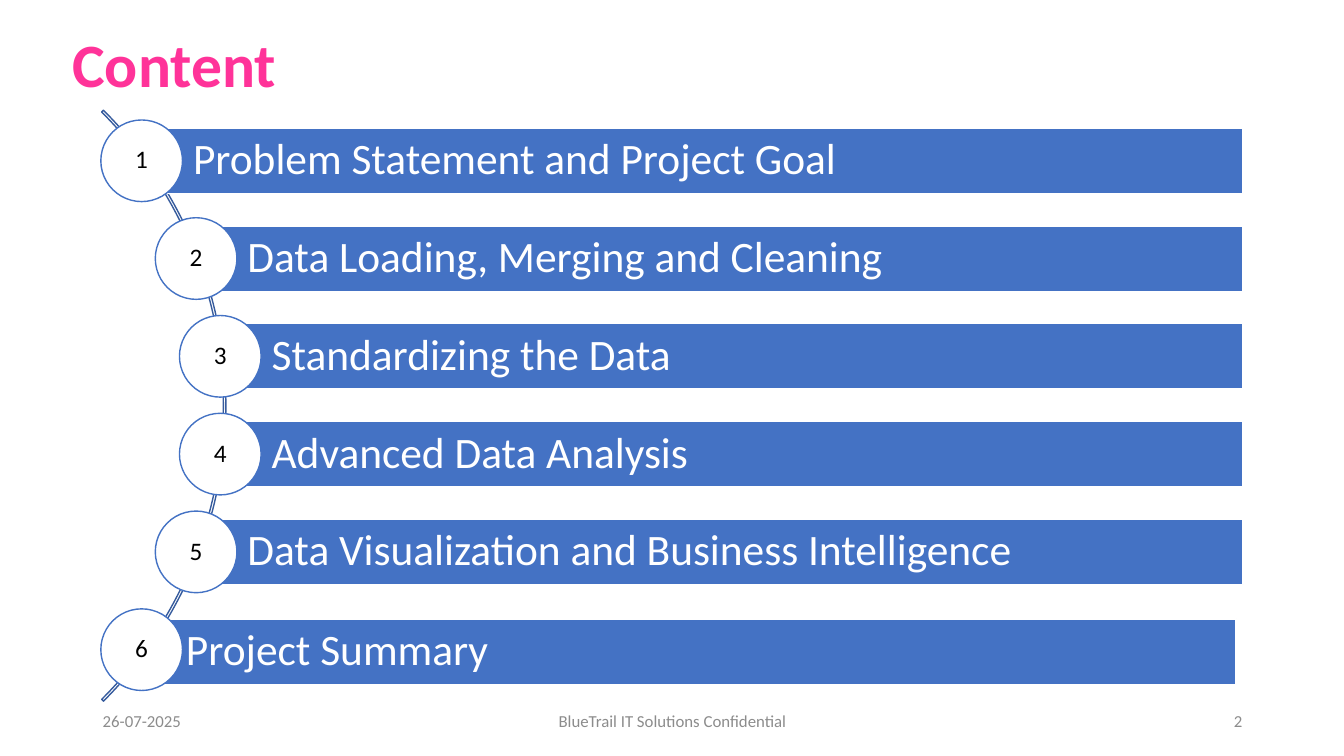
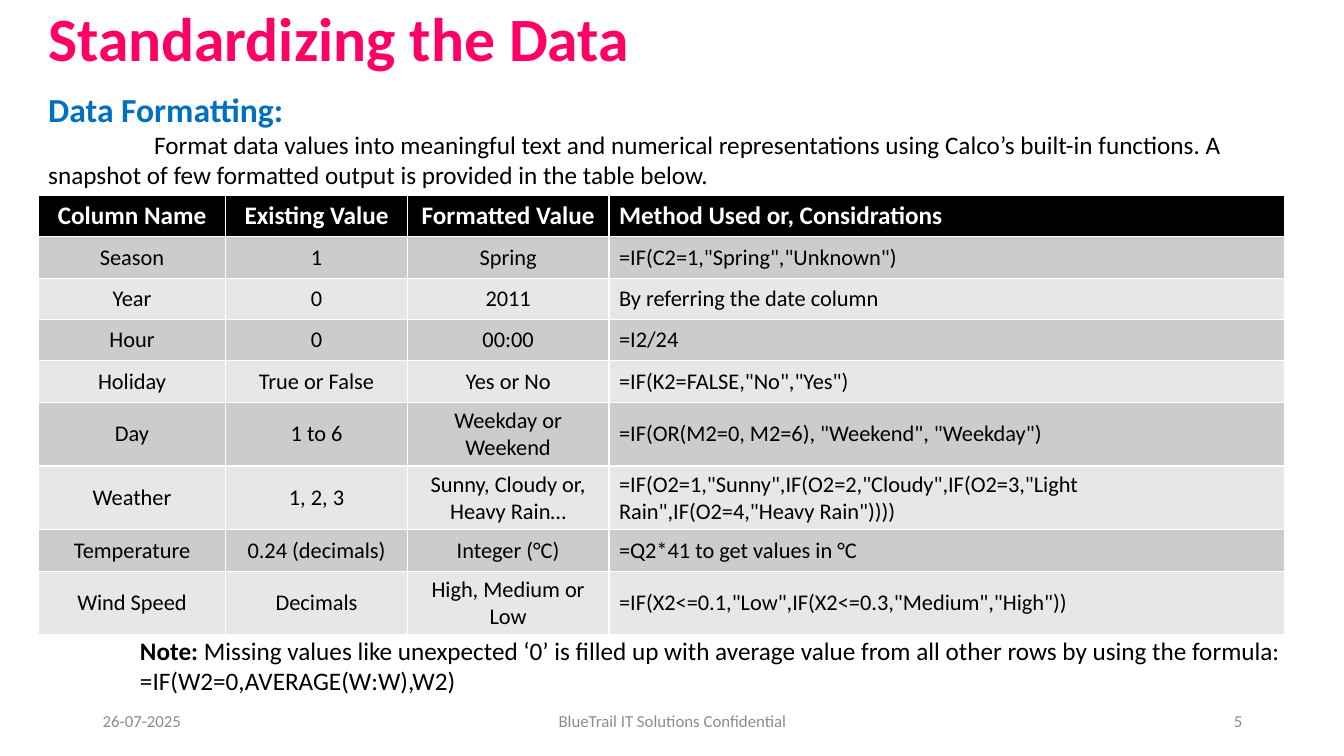
from pptx import Presentation
from pptx.dml.color import RGBColor
from pptx.enum.shapes import MSO_SHAPE
from pptx.enum.text import MSO_ANCHOR, PP_ALIGN
from pptx.util import Inches, Pt

# Shared style
FONT = "Calibri"
WHITE = RGBColor(0xFF, 0xFF, 0xFF)
BLACK = RGBColor(0x00, 0x00, 0x00)
BLUE = RGBColor(0x44, 0x72, 0xC4)
ARC_BLUE = RGBColor(0x36, 0x5B, 0x9D)
HEADING_BLUE = RGBColor(0x00, 0x70, 0xC0)
PINK = RGBColor(0xFF, 0x33, 0x99)
ROSE = RGBColor(0xFF, 0x00, 0x66)
FOOTER_GREY = RGBColor(0x8C, 0x8C, 0x8C)
ROW_FILLS = (RGBColor(0xCC, 0xCC, 0xCC), RGBColor(0xE7, 0xE7, 0xE7))

DATE = "26-07-2025"
FOOTER = "BlueTrail IT Solutions Confidential"

# Agenda: left edge of each number circle, topic, shift of its bar
AGENDA = [
    (1.00, "Problem Statement and Project Goal", (0, 0)),
    (1.54, "Data Loading, Merging and Cleaning", (0, 0)),
    (1.78, "Standardizing the Data", (0, 0)),
    (1.78, "Advanced Data Analysis", (0, 0)),
    (1.54, "Data Visualization and Business Intelligence", (0, 0)),
    (1.00, "Project Summary", (-0.07, 0.02)),
]
AGENDA_TOP, AGENDA_PITCH, AGENDA_RIGHT = 1.19, 0.97, 12.33
CIRCLE_SIZE, BAR_HEIGHT = 0.81, 0.65

COLUMN_WIDTHS = (1.86, 1.8, 2, 6.7)
ROW_HEIGHT = 0.41
FORMATS = [
    ("Column Name", "Existing Value", "Formatted Value", "Method Used or, Considrations"),
    ("Season", "1", "Spring", '=IF(C2=1,"Spring","Unknown")'),
    ("Year", "0", "2011", "By referring the date column"),
    ("Hour", "0", "00:00", "=I2/24"),
    ("Holiday", "True or False", "Yes or No", '=IF(K2=FALSE,"No","Yes")'),
    ("Day", "1 to 6", "Weekday or Weekend", '=IF(OR(M2=0, M2=6), "Weekend", "Weekday")'),
    ("Weather", "1, 2, 3", "Sunny, Cloudy or, Heavy Rain…",
     '=IF(O2=1,"Sunny",IF(O2=2,"Cloudy",IF(O2=3,"Light Rain",IF(O2=4,"Heavy Rain"))))'),
    ("Temperature", "0.24 (decimals)", "Integer (°C)", "=Q2*41 to get values in °C"),
    ("Wind Speed", "Decimals", "High, Medium or Low",
     '=IF(X2<=0.1,"Low",IF(X2<=0.3,"Medium","High"))'),
]


def style(paragraph, size, color, bold=False, align=PP_ALIGN.LEFT):
    paragraph.alignment = align
    font = paragraph.font
    font.name, font.size, font.bold = FONT, Pt(size), bold
    font.color.rgb = color


def add_text(slide, box, text, size, color, bold=False,
             align=PP_ALIGN.LEFT, anchor=MSO_ANCHOR.TOP):
    frame = slide.shapes.add_textbox(*map(Inches, box)).text_frame
    frame.word_wrap = True
    frame.vertical_anchor = anchor
    paragraph = frame.paragraphs[0]
    paragraph.text = text
    style(paragraph, size, color, bold, align)
    return frame


def add_outlined(slide, kind, box, line, fill=None):
    shape = slide.shapes.add_shape(kind, *map(Inches, box))
    shape.shadow.inherit = False
    if fill is None:
        shape.fill.background()
    else:
        shape.fill.solid()
        shape.fill.fore_color.rgb = fill
    shape.line.color.rgb = line
    shape.line.width = Pt(1)
    return shape


def add_label(shape, text, size, color, align, left_inset=0):
    frame = shape.text_frame
    frame.margin_left, frame.margin_right = Inches(left_inset), 0
    frame.vertical_anchor = MSO_ANCHOR.MIDDLE
    paragraph = frame.paragraphs[0]
    paragraph.text = text
    paragraph.line_spacing = 0.9
    style(paragraph, size, color, align=align)


def add_page(prs, title, title_box, title_color, number):
    slide = prs.slides.add_slide(prs.slide_layouts[6])
    heading = add_text(slide, title_box, title, 44, title_color, True,
                       anchor=MSO_ANCHOR.MIDDLE)
    heading.paragraphs[0].line_spacing = 0.9
    # Footer
    for left, width, text, align in (
        (0.92, 3, DATE, PP_ALIGN.LEFT),
        (4.42, 4.5, FOOTER, PP_ALIGN.CENTER),
        (9.42, 3, str(number), PP_ALIGN.RIGHT),
    ):
        add_text(slide, (left, 6.95, width, 0.4), text, 12, FOOTER_GREY,
                 align=align, anchor=MSO_ANCHOR.MIDDLE)
    return slide


def add_agenda(slide):
    # Curved spine behind the numbers
    spine = add_outlined(slide, MSO_SHAPE.BLOCK_ARC, (-6.05, -0.12, 8.29, 8.29), ARC_BLUE)
    for index, value in enumerate((189, 27, 0.003)):
        spine.adjustments[index] = value

    for index, (left, topic, (dx, dy)) in enumerate(AGENDA):
        top = AGENDA_TOP + index * AGENDA_PITCH
        bar_left = left + CIRCLE_SIZE / 2
        bar_top = top + (CIRCLE_SIZE - BAR_HEIGHT) / 2
        bar = add_outlined(
            slide, MSO_SHAPE.RECTANGLE,
            (bar_left + dx, bar_top + dy, AGENDA_RIGHT - bar_left, BAR_HEIGHT), WHITE, BLUE)
        add_label(bar, topic, 31, WHITE, PP_ALIGN.LEFT, 0.51)
        circle = add_outlined(slide, MSO_SHAPE.OVAL,
                              (left, top, CIRCLE_SIZE, CIRCLE_SIZE), BLUE, WHITE)
        add_label(circle, str(index + 1), 18, BLACK, PP_ALIGN.CENTER)


def add_format_table(slide):
    table = slide.shapes.add_table(
        len(FORMATS), len(COLUMN_WIDTHS), Inches(0.38), Inches(1.94),
        Inches(sum(COLUMN_WIDTHS)), Inches(ROW_HEIGHT * len(FORMATS))).table
    for column, width in zip(table.columns, COLUMN_WIDTHS):
        column.width = Inches(width)
    for r, row in enumerate(FORMATS):
        table.rows[r].height = Inches(ROW_HEIGHT)
        header = r == 0
        for c, text in enumerate(row):
            cell = table.cell(r, c)
            cell.text = text
            cell.fill.solid()
            cell.fill.fore_color.rgb = BLACK if header else ROW_FILLS[(r - 1) % 2]
            cell.vertical_anchor = MSO_ANCHOR.TOP if header else MSO_ANCHOR.MIDDLE
            align = PP_ALIGN.LEFT if c == len(row) - 1 else PP_ALIGN.CENTER
            style(cell.text_frame.paragraphs[0], 18 if header else 16,
                  WHITE if header else BLACK, header, align)


def add_formatting_intro(slide):
    intro = add_text(slide, (0.38, 0.83, 12.34, 1.11), "Data Formatting:",
                     24, HEADING_BLUE, True)
    body = intro.add_paragraph()
    body.text = ("Format data values into meaningful text and numerical representations "
                 "using Calco’s built-in functions. A snapshot of few formatted output "
                 "is provided in the table below.")
    body._p.get_or_add_pPr().set("indent", str(Inches(1.05)))
    style(body, 18, BLACK)


def add_note(slide):
    note = add_text(slide, (1.29, 6.25, 11.67, 0.71), "", 18, BLACK).paragraphs[0]
    lead = note.add_run()
    lead.text = "Note: "
    lead.font.bold = True
    note.add_run().text = ("Missing values like unexpected ‘0’ is filled up with average value "
                           "from all other rows by using the formula: "
                           "=IF(W2=0,AVERAGE(W:W),W2)")


def main():
    prs = Presentation()
    prs.slide_width, prs.slide_height = Inches(13.33), Inches(7.5)

    # Agenda
    content = add_page(prs, "Content", (0.62, 0.24, 11.5, 0.86), PINK, 2)
    add_agenda(content)

    # Data formatting
    formatting = add_page(prs, "Standardizing the Data", (0.38, 0, 11.5, 0.83), ROSE, 5)
    add_format_table(formatting)
    add_formatting_intro(formatting)
    add_note(formatting)

    prs.save("out.pptx")


if __name__ == "__main__":
    main()
